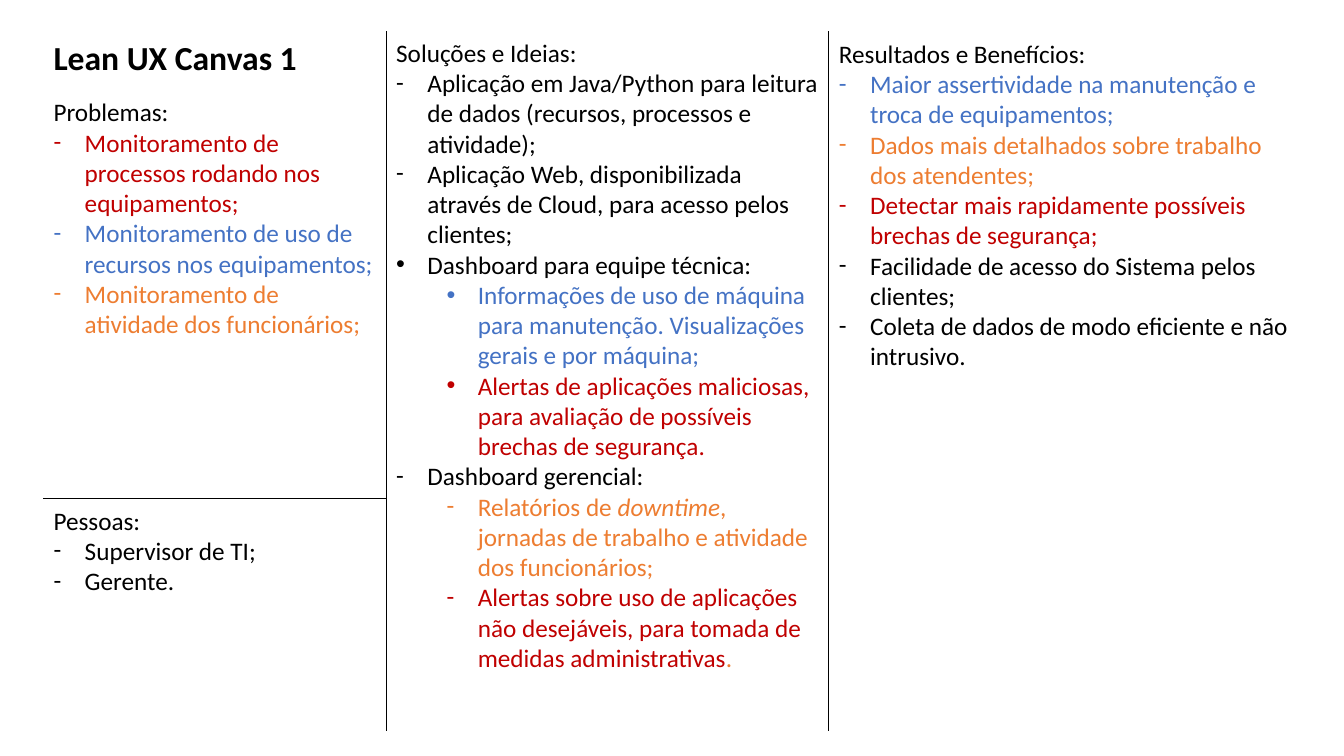
from dataclasses import dataclass

from lxml import etree
from pptx import Presentation
from pptx.dml.color import RGBColor
from pptx.enum.shapes import MSO_CONNECTOR
from pptx.enum.text import MSO_ANCHOR, MSO_AUTO_SIZE, PP_ALIGN
from pptx.oxml.ns import qn
from pptx.util import Inches, Pt

STRAIGHT = MSO_CONNECTOR.STRAIGHT
TOP = MSO_ANCHOR.TOP
FIT_SHAPE = MSO_AUTO_SIZE.SHAPE_TO_FIT_TEXT
LEFT = PP_ALIGN.LEFT
COMPARISON = 4  # layout with a title and four bodies

WIDTH, HEIGHT = Inches(13.33), Inches(7.5)

# Shares of the slide, in percent
COLUMNS = (3.23, 28.73, 61.67, 96.77)
RULE_TOP, RULE_BOTTOM = 4.13, 96.67
PEOPLE_RULE = 65.87


@dataclass(frozen=True)
class Theme:
    font: str = "Calibri"
    title: Pt = Pt(24)
    body: Pt = Pt(18)
    rule: Pt = Pt(0.5)
    black: RGBColor = RGBColor(0x00, 0x00, 0x00)
    security: RGBColor = RGBColor(0xC0, 0x00, 0x00)
    resources: RGBColor = RGBColor(0x44, 0x72, 0xC4)
    staff: RGBColor = RGBColor(0xED, 0x7D, 0x31)


THEME = Theme()


@dataclass(frozen=True)
class Run:
    text: str
    color: RGBColor = THEME.black
    italic: bool = False
    bold: bool = False


@dataclass(frozen=True)
class Item:
    runs: tuple[Run, ...]
    bullet: str = "-"
    level: int = 0


@dataclass(frozen=True)
class Section:
    column: int
    top: float
    height: float
    heading: str
    items: tuple[Item, ...]


def item(text: str, color: RGBColor = THEME.black, bullet: str = "-", level: int = 0) -> Item:
    return Item((Run(text, color),), bullet, level)


SECTIONS = (
    Section(0, 12.13, 33.6, "Problemas:", (
        item("Monitoramento de processos rodando nos equipamentos;", THEME.security),
        item("Monitoramento de uso de recursos nos equipamentos;", THEME.resources),
        item("Monitoramento de atividade dos funcionários;", THEME.staff),
    )),
    Section(0, 66.13, 13.47, "Pessoas:", (
        item("Supervisor de TI;"),
        item("Gerente."),
    )),
    Section(1, 4.27, 86.13, "Soluções e Ideias:", (
        item("Aplicação em Java/Python para leitura de dados (recursos, processos e atividade);"),
        item("Aplicação Web, disponibilizada através de Cloud, para acesso pelos clientes;"),
        item("Dashboard para equipe técnica:", bullet="•"),
        item("Informações de uso de máquina para manutenção. Visualizações gerais e por máquina;",
             THEME.resources, "•", 1),
        item("Alertas de aplicações maliciosas, para avaliação de possíveis brechas de segurança.",
             THEME.security, "•", 1),
        item("Dashboard gerencial:"),
        Item((Run("Relatórios de ", THEME.staff),
              Run("downtime", THEME.staff, italic=True),
              Run(", jornadas de trabalho e atividade dos funcionários;", THEME.staff)), level=1),
        Item((Run("Alertas sobre uso de aplicações não desejáveis, "
                  "para tomada de medidas administrativas", THEME.security),
              Run(".", THEME.staff)), level=1),
    )),
    Section(2, 4.4, 49.87, "Resultados e Benefícios:", (
        item("Maior assertividade na manutenção e troca de equipamentos;", THEME.resources),
        item("Dados mais detalhados sobre trabalho dos atendentes;", THEME.staff),
        item("Detectar mais rapidamente possíveis brechas de segurança;", THEME.security),
        item("Facilidade de acesso do Sistema pelos clientes;"),
        item("Coleta de dados de modo eficiente e não intrusivo."),
    )),
)


def x(share: float) -> int:
    return round(WIDTH * share / 100)


def y(share: float) -> int:
    return round(HEIGHT * share / 100)


def place(sp, column: int, top: float, height: float):
    """Move a placeholder into a column and return its text frame."""
    sp.left, sp.top = x(COLUMNS[column]), y(top)
    sp.width = x(COLUMNS[column + 1] - COLUMNS[column])
    sp.height = y(height)
    tf = sp.text_frame
    tf.word_wrap = True
    tf.vertical_anchor = TOP
    tf.auto_size = FIT_SHAPE
    return tf


def add_run(p, run: Run, size: Pt) -> None:
    r = p.add_run()
    r.text = run.text
    r.font.name, r.font.size = THEME.font, size
    r.font.bold, r.font.italic = run.bold, run.italic
    r.font.color.rgb = run.color


def format_paragraph(p, bullet: str = "", level: int = 0) -> None:
    p.alignment = LEFT
    p.level = level
    p.line_spacing = 1.0
    p.space_before = p.space_after = Pt(0)
    pPr = p._p.get_or_add_pPr()
    hang = Inches(0.31) if bullet else 0
    pPr.set("marL", str(hang + level * Inches(0.5)))
    pPr.set("indent", str(-hang))
    if bullet:
        font = "Arial" if bullet == "•" else THEME.font
        etree.SubElement(pPr, qn("a:buFont"), typeface=font)
        etree.SubElement(pPr, qn("a:buChar"), char=bullet)
    else:
        etree.SubElement(pPr, qn("a:buNone"))


def fill_section(sp, section: Section) -> None:
    tf = place(sp, section.column, section.top, section.height)
    p = tf.paragraphs[0]
    format_paragraph(p)
    add_run(p, Run(section.heading), THEME.body)
    for entry in section.items:
        p = tf.add_paragraph()
        format_paragraph(p, entry.bullet, entry.level)
        for run in entry.runs:
            add_run(p, run, THEME.body)


def add_rule(slide, x1: float, y1: float, x2: float, y2: float) -> None:
    line = slide.shapes.add_connector(STRAIGHT, x(x1), y(y1), x(x2), y(y2))
    line.line.color.rgb = THEME.black
    line.line.width = THEME.rule
    etree.SubElement(line._element.spPr, qn("a:effectLst"))


def main() -> None:
    prs = Presentation()
    prs.slide_width, prs.slide_height = WIDTH, HEIGHT
    slide = prs.slides.add_slide(prs.slide_layouts[COMPARISON])

    title, *bodies = slide.placeholders
    p = place(title, 0, 4.27, 6.67).paragraphs[0]
    format_paragraph(p)
    add_run(p, Run("Lean UX Canvas 1", bold=True), THEME.title)
    for sp, section in zip(bodies, SECTIONS):
        fill_section(sp, section)

    for edge in COLUMNS[1:3]:
        add_rule(slide, edge, RULE_TOP, edge, RULE_BOTTOM)
    add_rule(slide, COLUMNS[0], PEOPLE_RULE, COLUMNS[1], PEOPLE_RULE)
    prs.save("out.pptx")


if __name__ == "__main__":
    main()
